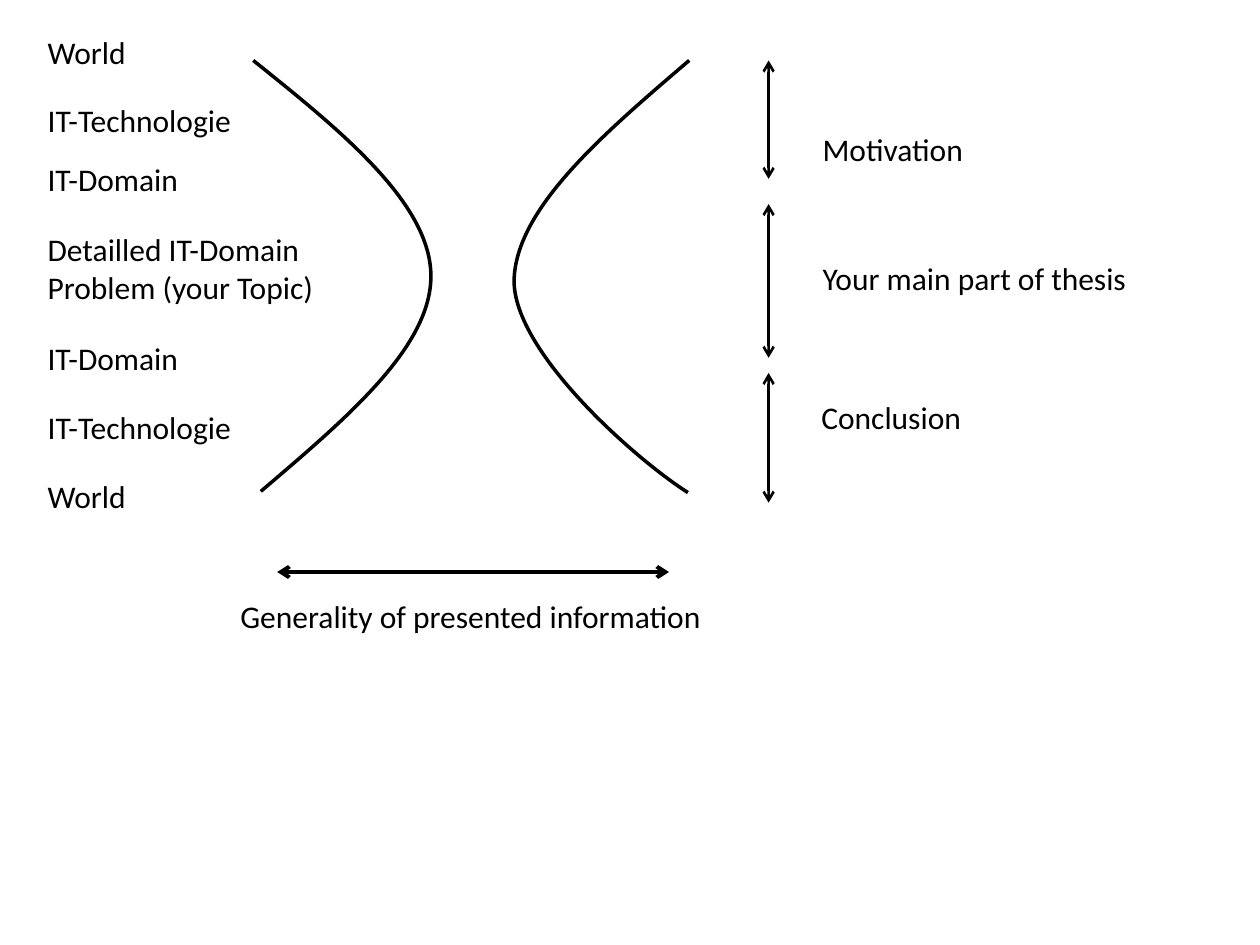
from lxml import etree
from pptx import Presentation
from pptx.dml.color import RGBColor
from pptx.enum.shapes import MSO_CONNECTOR
from pptx.enum.text import MSO_AUTO_SIZE
from pptx.oxml.ns import qn
from pptx.util import Inches, Pt

BLACK = RGBColor(0x00, 0x00, 0x00)
STRAIGHT = MSO_CONNECTOR.STRAIGHT
FIT_SHAPE = MSO_AUTO_SIZE.SHAPE_TO_FIT_TEXT


class SlideWriter:
    def __init__(self, slide):
        self.shapes = slide.shapes
        self.font_format = {"name": "Calibri", "size": Pt(18)}
        self.frame_format = {"word_wrap": False, "auto_size": FIT_SHAPE}

    def apply(self, target, values):
        for name, value in values.items():
            setattr(target, name, value)

    def stroke(self, shape, weight):
        shape.line.color.rgb = BLACK
        shape.line.width = Pt(weight)

    def label(self, text, left, top, width, height=0.4):
        box = self.shapes.add_textbox(*map(Inches, (left, top, width, height)))
        self.apply(box.text_frame, self.frame_format)
        box.text_frame.text = text
        for paragraph in box.text_frame.paragraphs:
            self.apply(paragraph.font, self.font_format)
            paragraph.font.color.rgb = BLACK

    def double_arrow(self, start, end, weight):
        arrow = self.shapes.add_connector(STRAIGHT, *map(Inches, start + end))
        self.stroke(arrow, weight)
        line = arrow.line._get_or_add_ln()
        for end_tag in ("a:headEnd", "a:tailEnd"):
            etree.SubElement(line, qn(end_tag), type="arrow")
        etree.SubElement(arrow._element.spPr, qn("a:effectLst"))

    def curve(self, points, weight):
        start, *bends = [tuple(map(Inches, point)) for point in points]
        builder = self.shapes.build_freeform(*start)
        builder.add_line_segments(bends, close=False)
        shape = builder.convert_to_shape()
        shape.shadow.inherit = False
        shape.fill.background()
        self.stroke(shape, weight)
        outline = shape._element.find(".//" + qn("a:path"))
        segments = outline.findall(qn("a:lnTo"))
        for first in range(0, len(segments), 3):
            bezier = etree.SubElement(outline, qn("a:cubicBezTo"))
            for segment in segments[first:first + 3]:
                bezier.append(segment[0])
                outline.remove(segment)


presentation = Presentation()
presentation.slide_width = Inches(10)
presentation.slide_height = Inches(7.5)
writer = SlideWriter(presentation.slides.add_slide(presentation.slide_layouts[6]))

LEFT_CURVE = [(2.01, 0.48), (2.71, 1.04), (3.41, 1.61), (3.42, 2.18),
              (3.43, 2.75), (2.75, 3.32), (2.07, 3.9)]
RIGHT_CURVE = [(5.47, 0.48), (4.78, 1.07), (4.09, 1.66), (4.08, 2.23),
               (4.08, 2.8), (5.05, 3.65), (5.46, 3.91)]
for hourglass_side in (LEFT_CURVE, RIGHT_CURVE):
    writer.curve(hourglass_side, 2)

TOPIC_WIDTHS = {"World": 0.83, "IT-Technologie": 1.69, "IT-Domain": 1.27}
TOPIC_ROWS = [("World", 0.21), ("IT-Technologie", 0.75), ("IT-Domain", 1.22),
              ("IT-Domain", 2.64), ("IT-Technologie", 3.19), ("World", 3.74)]
for topic, top in TOPIC_ROWS:
    writer.label(topic, 0.28, top, TOPIC_WIDTHS[topic])
writer.label("Detailled IT-Domain\nProblem (your Topic)", 0.28, 1.78, 2.33, 0.71)

THESIS_PARTS = [("Motivation", 6.43, 0.98, 1.33, 0.48, 1.42),
                ("Your main part of thesis", 6.43, 2.01, 2.64, 1.62, 2.84),
                ("Conclusion", 6.42, 3.11, 1.32, 2.96, 3.99)]
for part, left, top, width, span_start, span_end in THESIS_PARTS:
    writer.label(part, left, top, width)
    writer.double_arrow((6.1, span_start), (6.1, span_end), 1.5)

writer.double_arrow((2.2, 4.54), (5.31, 4.54), 2.25)
writer.label("Generality of presented information", 1.81, 4.69, 3.9)

presentation.save("out.pptx")
